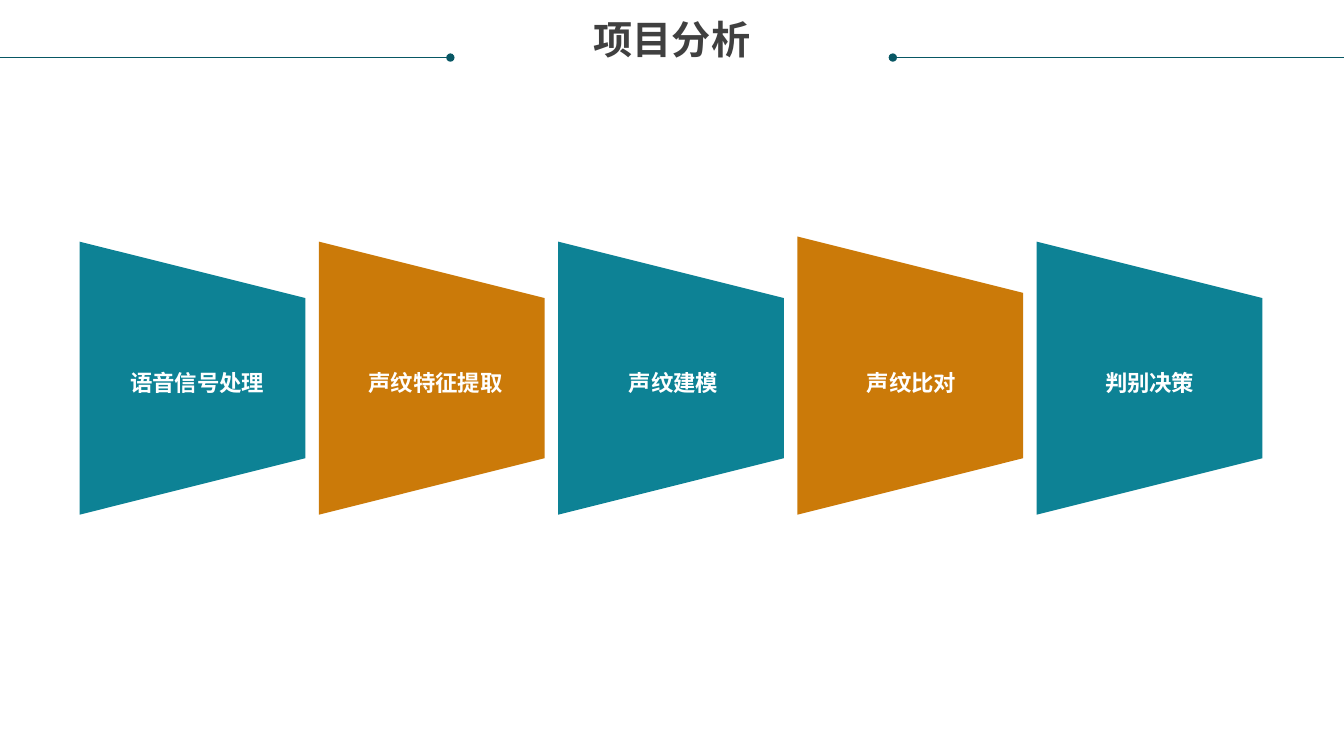
import pptx
import pptx.dml.color
import pptx.enum.shapes
import pptx.enum.text
import pptx.oxml
import pptx.oxml.ns
import pptx.util

Cm = pptx.util.Cm
COLORS = {"teal": "0D8295", "orange": "CB7A09", "rule": "085764",
          "title": "404040", "label": "FFFFFF"}
PAGE_WIDTH, PAGE_HEIGHT = 33.87, 19.05


def rgb(name):
    return pptx.dml.color.RGBColor.from_string(COLORS[name])


def add_xml(parent, tag, **attributes):
    element = pptx.oxml.parse_xml(f"<a:{tag} {pptx.oxml.ns.nsdecls('a')}/>")
    for key, value in attributes.items():
        element.set(key, value)
    parent.append(element)


class SlideBuilder:
    font = "Noto Sans CJK SC"

    def __init__(self, page):
        self.page = page

    def rule(self, start, end, y, dot):
        """Draw a thin line with a dot at its headEnd or tailEnd."""
        line = self.page.shapes.add_connector(
            pptx.enum.shapes.MSO_CONNECTOR.STRAIGHT, Cm(start), Cm(y), Cm(end), Cm(y))
        line.line.color.rgb = rgb("rule")
        line.line.width = pptx.util.Pt(0.5)
        add_xml(line.line._get_or_add_ln(), dot, type="oval")
        add_xml(line._element.spPr, "effectLst")

    def trapezoid(self, center, bottom, width, height, color):
        """Draw a trapezoid turned so that its narrow side faces right."""
        middle = bottom - height / 2
        shape = self.page.shapes.add_shape(
            pptx.enum.shapes.MSO_SHAPE.TRAPEZOID,
            Cm(center - height / 2), Cm(middle - width / 2), Cm(height), Cm(width))
        shape.rotation = 90
        shape.shadow.inherit = False
        shape.fill.solid()
        shape.fill.fore_color.rgb = rgb(color)
        shape.line.fill.background()

    def text(self, words, left, top, width, height, size, color, spacing=1.0):
        box = self.page.shapes.add_textbox(Cm(left), Cm(top), Cm(width), Cm(height))
        frame = box.text_frame
        frame_format = {"margin_left": 0, "margin_right": 0, "margin_top": 0,
                        "margin_bottom": 0, "word_wrap": True,
                        "auto_size": pptx.enum.text.MSO_AUTO_SIZE.SHAPE_TO_FIT_TEXT}
        for key, value in frame_format.items():
            setattr(frame, key, value)
        para = frame.paragraphs[0]
        para.alignment = pptx.enum.text.PP_ALIGN.CENTER
        para.line_spacing = spacing
        span = para.add_run()
        span.text = words
        font_format = {"size": pptx.util.Pt(size), "bold": True, "name": self.font}
        for key, value in font_format.items():
            setattr(span.font, key, value)
        span.font.color.rgb = rgb(color)
        add_xml(span._r.get_or_add_rPr(), "ea", typeface=self.font)


def main():
    deck = pptx.Presentation()
    deck.slide_width, deck.slide_height = Cm(PAGE_WIDTH), Cm(PAGE_HEIGHT)
    builder = SlideBuilder(deck.slides.add_slide(deck.slide_layouts[6]))

    # Heading between two dotted rules
    builder.rule(0, 11.35, 1.45, "tailEnd")
    builder.rule(22.5, PAGE_WIDTH, 1.45, "headEnd")
    builder.text("项目分析", 0.64, 0.53, 32.59, 2.16, 28, "title", spacing=0.9)

    # Process steps: colours alternate, the fourth is slightly taller
    steps = [("语音信号处理", 6.88), ("声纹特征提取", 6.88), ("声纹建模", 6.88),
             ("声纹比对", 7.01), ("判别决策", 6.88)]
    for index, (label, height) in enumerate(steps):
        color = ("teal", "orange")[index % 2]
        builder.trapezoid(4.85 + 6.03 * index, 12.97, 5.69, height, color)
        builder.text(label, 3.07 + 6 * index, 9.3, 3.81, 0.68, 16, "label")

    deck.save("out.pptx")


if __name__ == "__main__":
    main()
